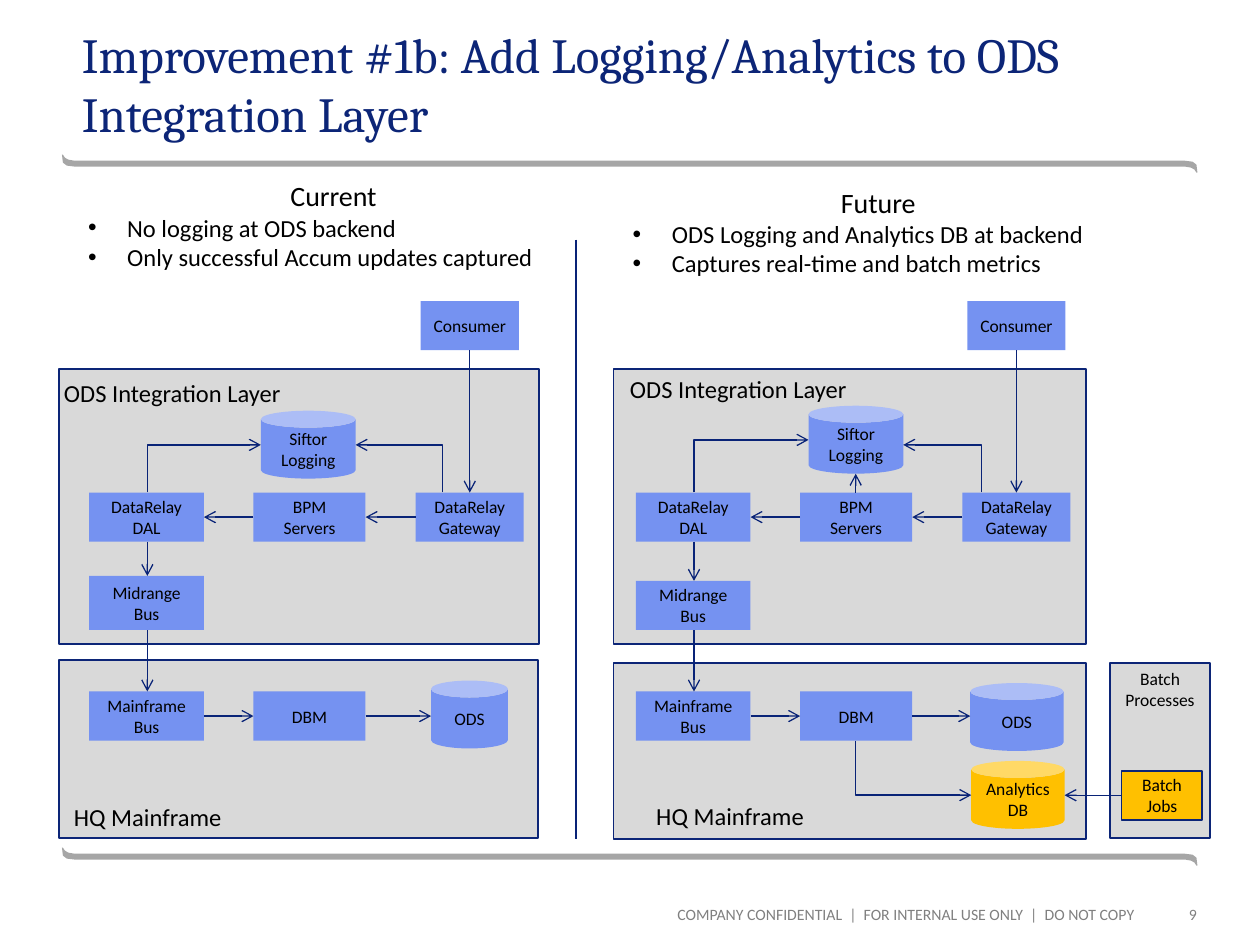
from dataclasses import dataclass

from lxml.etree import SubElement
from pptx import Presentation
from pptx.dml.color import RGBColor
from pptx.enum.shapes import MSO_CONNECTOR, MSO_SHAPE
from pptx.enum.text import MSO_ANCHOR, MSO_AUTO_SIZE, PP_ALIGN
from pptx.oxml.ns import qn
from pptx.util import Cm, Pt


@dataclass(frozen=True)
class Theme:
    navy: str = "0C2577"
    wire: str = "092377"
    blue: str = "7592F1"
    gold: str = "FFC000"
    panel: str = "D9D9D9"
    rule: str = "A6A6A6"
    muted: str = "808080"
    black: str = "000000"
    serif: str = "Cambria"
    sans: str = "Calibri"
    title: int = 28
    head: int = 16
    label: int = 14
    node: int = 10
    foot: int = 9


@dataclass(frozen=True)
class Box:
    """A filled shape, placed in centimetres."""
    text: str
    x: float
    y: float
    w: float
    h: float
    fill: str
    kind: MSO_SHAPE = MSO_SHAPE.RECTANGLE
    edge: bool = False
    anchor: MSO_ANCHOR = MSO_ANCHOR.MIDDLE


@dataclass(frozen=True)
class Side:
    """One half of the slide: what sets it apart from the other half."""
    dx: float
    head: str
    points: str
    spot: tuple[float, float]
    layer: Box
    frame: Box
    labels: tuple[tuple[float, float], tuple[float, float]]
    log_x: float
    log_y: float
    queue: float
    turn: float
    store: Box


T = Theme()
CAN = MSO_SHAPE.CAN


def rgb(code: str) -> RGBColor:
    return RGBColor.from_string(code)


def write(frame, text: str, size=T.label, color=T.black, font=T.sans,
          align=PP_ALIGN.LEFT, anchor=MSO_ANCHOR.TOP, inset=None, wrap=True) -> None:
    """Fill a text frame; each line of text becomes a paragraph."""
    frame.text = text
    frame.word_wrap = wrap
    frame.auto_size = MSO_AUTO_SIZE.NONE
    frame.vertical_anchor = anchor
    if inset is not None:
        frame.margin_left = frame.margin_right = Cm(inset)
        frame.margin_top = frame.margin_bottom = Cm(inset)
    for para in frame.paragraphs:
        para.alignment = align
        para.space_before = Pt(0)
        for run in para.runs:
            run.font.size, run.font.name = Pt(size), font
            run.font.color.rgb = rgb(color)


def place(shape, x: float, y: float, w: float, h: float) -> None:
    shape.left, shape.top, shape.width, shape.height = Cm(x), Cm(y), Cm(w), Cm(h)


def label(slide, text: str, x: float, y: float, w: float, h: float, **style) -> None:
    area = slide.shapes.add_textbox(Cm(x), Cm(y), Cm(w), Cm(h))
    write(area.text_frame, text, **style)


def draw(slide, box: Box) -> None:
    shape = slide.shapes.add_shape(box.kind, Cm(box.x), Cm(box.y), Cm(box.w), Cm(box.h))
    shape.shadow.inherit = False
    shape.fill.solid()
    shape.fill.fore_color.rgb = rgb(box.fill)
    if box.edge:
        shape.line.color.rgb = rgb(T.navy)
        shape.line.width = Pt(1)
    else:
        shape.line.fill.background()
    if box.text:
        write(shape.text_frame, box.text, size=T.node, align=PP_ALIGN.CENTER,
              anchor=box.anchor, inset=0.1)


def link(slide, x1: float, y1: float, x2: float, y2: float, bent=False, head=True) -> None:
    """Join two points; a bent link runs upright first, then level."""
    kind = MSO_CONNECTOR.ELBOW if bent else MSO_CONNECTOR.STRAIGHT
    wire = slide.shapes.add_connector(kind, Cm(x1), Cm(y1), Cm(x2), Cm(y2))
    wire.line.color.rgb = rgb(T.wire)
    wire.line.width = Pt(0.75)
    props = wire._element.spPr
    if bent:
        SubElement(props.find(".//" + qn("a:avLst")), qn("a:gd"), name="adj1", fmla="val 0")
    if head:
        SubElement(props.find(qn("a:ln")), qn("a:tailEnd"), type="arrow")
    SubElement(props, qn("a:effectLst"))


def rule(slide, x: float, y: float) -> None:
    """Draw a thin bar with curled ends; its lower edge is the upper one turned half round."""
    w, h = 22.89, 0.36
    edge = [(0, 0), (0.02, 0), (0.06, 0.06), (0.13, 0.1), (0.25, 0.12),
            (22.63, 0.12), (22.79, 0.14), (22.87, 0.2), (w, h)]
    dots = [(Cm(x + a), Cm(y + b)) for a, b in edge + [(w - a, h - b) for a, b in edge]]
    form = slide.shapes.build_freeform(*dots[0], scale=1.0)
    form.add_line_segments(dots[1:], close=True)
    bar = form.convert_to_shape()
    bar.shadow.inherit = False
    bar.fill.solid()
    bar.fill.fore_color.rgb = rgb(T.rule)
    bar.line.fill.background()


def list_points(holder, side: Side) -> None:
    place(holder, *side.spot, 10.41, 2.13)
    write(holder.text_frame, side.head + "\n" + side.points)
    first, *rest = holder.text_frame.paragraphs
    first.alignment = PP_ALIGN.CENTER
    first.runs[0].font.size = Pt(T.head)
    props = first._p.get_or_add_pPr()
    props.set("marL", "0")
    props.set("indent", "0")
    SubElement(props, qn("a:buNone"))
    for para in rest:
        props = para._p.get_or_add_pPr()
        props.set("marL", str(Cm(0.79)))
        props.set("indent", str(-Cm(0.79)))
        SubElement(props, qn("a:buChar"), char="•")


def draw_side(slide, side: Side) -> None:
    dx, row, base, tall = side.dx, 9.93, 13.94, 0.99
    mid, low = row + tall / 2, base + tall / 2
    left, centre, right = dx + 1.8, dx + 5.11, dx + 8.38
    drop, feed, log = left + 1.17, right + 1.09, dx + side.log_x
    for box in (
        side.layer, side.frame, side.store,
        Box("Consumer", dx + 8.48, 6.07, 1.98, tall, T.blue),
        Box("DataRelay\nGateway", right, row, 2.18, tall, T.blue),
        Box("BPM\nServers", centre, row, 2.26, tall, T.blue),
        Box("DataRelay\nDAL", left, row, 2.31, tall, T.blue),
        Box("Midrange\nBus", left, side.queue, 2.31, 12.7 - side.queue, T.blue),
        Box("Mainframe\nBus", left, base, 2.31, tall, T.blue),
        Box("DBM", centre, base, 2.26, tall, T.blue),
        Box("Siftor\nLogging", log, side.log_y, 1.91, 1.37, T.blue, CAN),
    ):
        draw(slide, box)
    for ends in (
        (feed, 7.06, feed, row),
        (right, mid, centre + 2.26, mid),
        (centre, mid, left + 2.31, mid),
        (drop, row + tall, drop, side.queue),
        (drop, 12.7, drop, base),
        (left + 2.31, low, centre, low),
        (centre + 2.26, low, side.store.x, low),
    ):
        link(slide, *ends)
    link(slide, drop, row, log, side.log_y + 0.69, bent=True)
    link(slide, dx + side.turn, row, log + 1.91, 8.97, bent=True)
    for text, spot in zip(("ODS Integration Layer", "HQ Mainframe"), side.labels):
        label(slide, text, *spot, 4.98, 0.86, wrap=False)


SIDES = (
    Side(0, "Current", "No logging at ODS backend\nOnly successful Accum updates captured",
         (1.52, 3.48), Box("", 1.19, 7.44, 9.68, 5.54, T.panel, edge=True),
         Box("", 1.19, 13.31, 9.65, 3.58, T.panel, edge=True),
         ((1.04, 7.49), (1.24, 16.05)), 5.26, 8.28, 11.61, 8.92,
         Box("ODS", 8.69, 13.72, 1.55, 1.37, T.blue, CAN)),
    Side(11.02, "Future",
         "ODS Logging and Analytics DB at backend\nCaptures real-time and batch metrics",
         (12.5, 3.61), Box("", 12.37, 7.44, 9.53, 5.54, T.panel, edge=True),
         Box("", 12.37, 13.36, 9.53, 3.56, T.panel, edge=True),
         ((12.45, 7.42), (12.98, 16.03)), 5.28, 8.18, 11.71, 8.77,
         Box("ODS", 19.56, 13.77, 1.88, 1.37, T.blue, CAN)),
)


def main() -> None:
    deck = Presentation()
    deck.slide_width, deck.slide_height = Cm(25.4), Cm(19.05)
    slide = deck.slides.add_slide(deck.slide_layouts[3])
    title, *lists = slide.placeholders
    place(title, 1.27, 0.2, 22.86, 2.79)
    write(title.text_frame, "Improvement #1b: Add Logging/Analytics to ODS\vIntegration Layer",
          size=T.title, color=T.navy, font=T.serif, anchor=MSO_ANCHOR.BOTTOM)
    title.text_frame.margin_left = Cm(0.38)
    for y in (3.12, 17.09):
        rule(slide, 1.25, y)
    for text, x, w in (
        ("COMPANY CONFIDENTIAL  |  FOR INTERNAL USE ONLY  |  DO NOT COPY", 8.69, 14.17),
        ("9", 23.06, 1.07),
    ):
        label(slide, text, x, 18.24, w, 0.38, size=T.foot, color=T.muted,
              align=PP_ALIGN.RIGHT, anchor=MSO_ANCHOR.MIDDLE, inset=0)
    for holder, side in zip(lists, SIDES):
        list_points(holder, side)
        draw_side(slide, side)
    for box in (
        Box("Analytics\nDB", 19.58, 15.34, 1.88, 1.37, T.gold, CAN),
        Box("Batch\nProcesses", 22.38, 13.36, 2.01, 3.53, T.panel, edge=True,
            anchor=MSO_ANCHOR.TOP),
        Box("Batch\nJobs", 22.61, 15.54, 1.63, 0.99, T.gold, edge=True),
    ):
        draw(slide, box)
    link(slide, 17.25, 14.93, 19.58, 16.03, bent=True)
    link(slide, 17.25, 9.93, 17.25, 9.55)
    link(slide, 22.61, 16.03, 21.46, 16.03)
    link(slide, 11.61, 4.83, 11.61, 16.92, head=False)
    deck.save("out.pptx")


if __name__ == "__main__":
    main()
